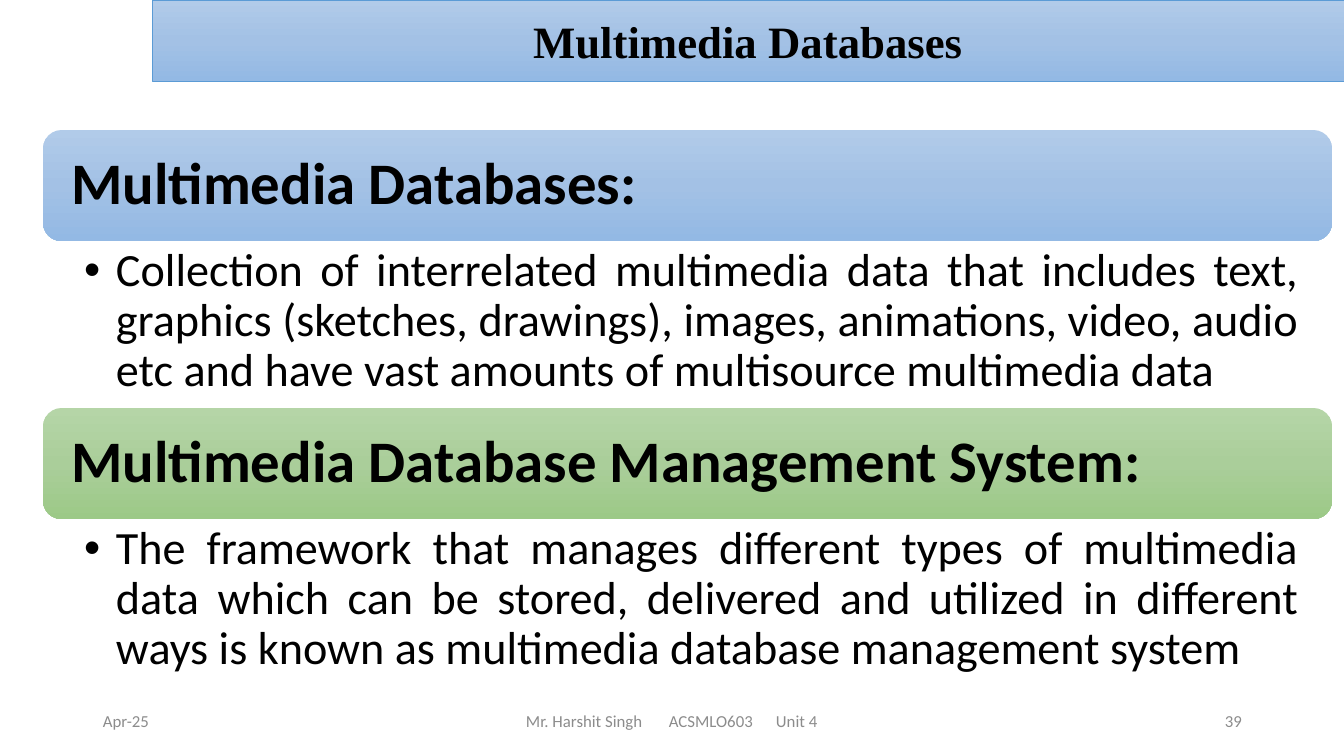
from copy import deepcopy
from pptx import Presentation
from pptx.dml.color import RGBColor as RGB
from pptx.enum.shapes import MSO_SHAPE as Shape
from pptx.enum.text import MSO_ANCHOR as Anchor, MSO_AUTO_SIZE as AutoSize, PP_ALIGN as Align
from pptx.oxml.ns import qn
from pptx.oxml.xmlchemy import OxmlElement as Element
from pptx.util import Pt

PX = 12192000 / 1344
THEME = {
    "blue": ("B1CBE9", "A3C1E5", "93B9E4"),
    "green": ("B5D5A7", "AACE9A", "9CC987"),
    "outline": "5B9BD5",
    "text": "000000",
    "muted": "8C8C8C",
    "title_font": "Times New Roman",
    "body_font": "Calibri",
    "title_size": 32,
    "heading_size": 42,
    "body_size": 33,
    "footer_size": 12,
}


def px(value):
    return round(value * PX)


def paint_gradient(shape, colors):
    shape.fill.gradient()
    shape.fill.gradient_angle = 270
    stop_list = shape._element.spPr.find(qn("a:gradFill")).find(qn("a:gsLst"))
    stop_list.insert(1, deepcopy(stop_list[0]))
    for stop, position, color in zip(shape.fill.gradient_stops, (0, 0.5, 1), colors):
        stop.position = position
        stop.color.rgb = RGB.from_string(color)


def write(shape, text, size, align, anchor, margins=(10, 5, 10, 5),
          color="text", font="body_font", bold=False):
    frame = shape.text_frame
    frame.text = text
    frame.word_wrap = True
    frame.auto_size = AutoSize.NONE
    frame.vertical_anchor = anchor
    frame.margin_left, frame.margin_top, frame.margin_right, frame.margin_bottom = map(px, margins)
    paragraph = frame.paragraphs[0]
    paragraph.alignment = align
    paragraph.space_before = Pt(0)
    for run in paragraph.runs:
        run.font.name = THEME[font]
        run.font.size = Pt(THEME[size])
        run.font.bold = bold
        run.font.color.rgb = RGB.from_string(THEME[color])
    return paragraph


presentation = Presentation()
presentation.slide_width, presentation.slide_height = px(1344), px(756)
slide = presentation.slides.add_slide(presentation.slide_layouts[3])

title = slide.shapes.title
title.left, title.top, title.width, title.height = map(px, (152, 0, 1192, 81))
paint_gradient(title, THEME["blue"])
title.line.color.rgb = RGB.from_string(THEME["outline"])
title.line.width = Pt(0.5)
write(title, "Multimedia Databases", "title_size", Align.CENTER, Anchor.MIDDLE,
      font="title_font", bold=True)

sections = [
    ("Multimedia Databases:", "blue",
     "Collection of interrelated multimedia data that includes text, graphics "
     "(sketches, drawings), images, animations, video, audio etc and have vast "
     "amounts of multisource multimedia data"),
    ("Multimedia Database Management System:", "green",
     "The framework that manages different types of multimedia data which can be "
     "stored, delivered and utilized in different ways is known as multimedia "
     "database management system"),
]
left, width, first_top, heading_height, body_height = 43, 1289, 130, 111, 167
for index, (heading_text, color, body_text) in enumerate(sections):
    top = first_top + index * (heading_height + body_height)
    heading = slide.shapes.add_shape(
        Shape.ROUNDED_RECTANGLE, *map(px, (left, top, width, heading_height)))
    heading.shadow.inherit = False
    heading.line.fill.background()
    paint_gradient(heading, THEME[color])
    paragraph = write(heading, heading_text, "heading_size", Align.JUSTIFY, Anchor.MIDDLE,
                      (23, 17, 23, 17), bold=True)
    paragraph.line_spacing = 0.9

    body = slide.placeholders[index + 1]
    body.left, body.top, body.width, body.height = map(
        px, (left, top + heading_height, width, body_height))
    paragraph = write(body, body_text, "body_size", Align.JUSTIFY, Anchor.TOP, (41, 6, 33, 6))
    paragraph.line_spacing = 0.9
    properties = paragraph._p.get_or_add_pPr()
    properties.set("marL", str(px(32)))
    properties.set("indent", str(px(-32)))
    bullet = Element("a:buChar")
    bullet.set("char", "•")
    properties.append(bullet)

footers = [
    ("Apr-25", 93, 302, Align.LEFT, 10, ()),
    ("Mr. Harshit Singh\tACSMLO603\tUnit 4", 446, 454, Align.LEFT, 80, (143, 250)),
    ("39", 950, 302, Align.RIGHT, 10, ()),
]
for text, left, width, align, margin, tabs in footers:
    footer = slide.shapes.add_textbox(*map(px, (left, 701, width, 40)))
    paragraph = write(footer, text, "footer_size", align, Anchor.MIDDLE,
                      (margin, 5, 10, 5), "muted")
    if tabs:
        tab_list = Element("a:tabLst")
        for position in tabs:
            tab = Element("a:tab")
            tab.set("pos", str(px(position)))
            tab.set("algn", "l")
            tab_list.append(tab)
        paragraph._p.get_or_add_pPr().append(tab_list)

presentation.save("out.pptx")
